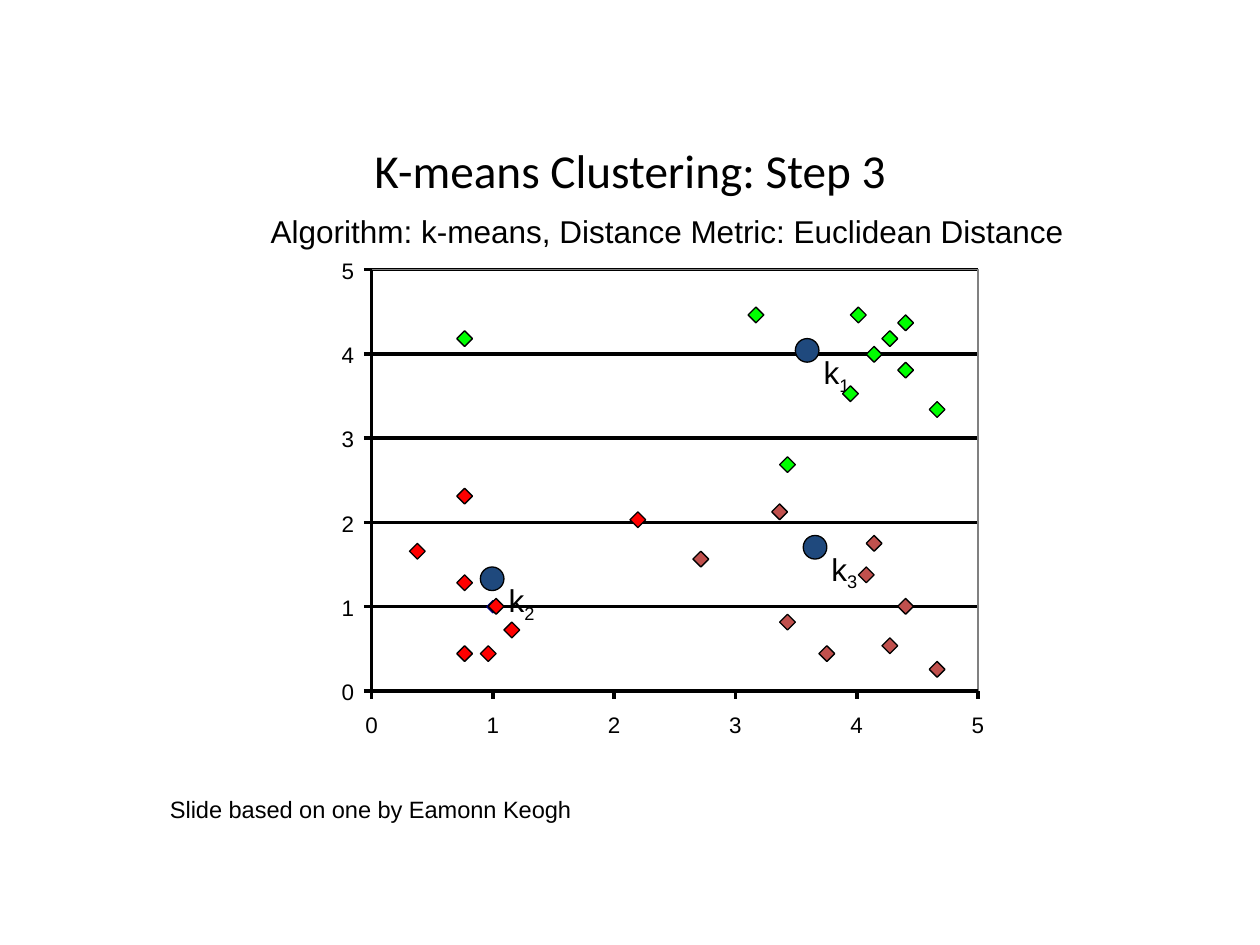
from lxml.etree import SubElement
from pptx import Presentation
from pptx.dml.color import RGBColor
from pptx.enum.shapes import MSO_CONNECTOR, MSO_SHAPE
from pptx.enum.text import MSO_ANCHOR, MSO_AUTO_SIZE, PP_ALIGN
from pptx.oxml.ns import qn
from pptx.util import Inches, Pt

BLACK = RGBColor(0x00, 0x00, 0x00)
WHITE = RGBColor(0xFF, 0xFF, 0xFF)
GRAY = RGBColor(0x80, 0x80, 0x80)
NAVY = RGBColor(0x00, 0x00, 0x80)
BLUE = RGBColor(0x1F, 0x49, 0x7D)
RED = RGBColor(0xFF, 0x00, 0x00)
GREEN = RGBColor(0x00, 0xFF, 0x00)
BROWN = RGBColor(0xC0, 0x50, 0x4D)

# The slide is a grid of 160 columns by 120 rows
UNITS_PER_INCH = 16
COLUMNS, ROWS = 160, 120

# Plot area, in grid units
LEFT, TOP = 47.2, 34.25
STEP_X, STEP_Y = 15.4, 10.7
INTERVALS = 5
RIGHT, BOTTOM = LEFT + INTERVALS * STEP_X, TOP + INTERVALS * STEP_Y
TICK = 1

# Top left corners of the markers, in grid units
CENTROIDS = {"1": (101, 43), "2": (61, 72), "3": (102, 68)}
CLUSTERS = {
    RED: [(62, 76), (64, 79), (61, 82), (58, 73), (58, 62), (58, 82),
          (52, 69), (80, 65)],
    GREEN: [(58, 42), (108, 39), (114, 40), (112, 42), (110, 44), (114, 46),
            (118, 51), (95, 39), (99, 58), (107, 49)],
    BROWN: [(99, 78), (104, 82), (109, 72), (98, 64), (88, 70), (114, 76),
            (112, 81), (110, 68), (118, 84)],
}


def units(value):
    return Inches(value / UNITS_PER_INCH)


def write_text(frame, text, subscript="", size=18, font="Arial", color=BLACK,
               align=PP_ALIGN.LEFT, anchor=MSO_ANCHOR.TOP, wrap=False,
               grow=True, inset=None):
    frame.word_wrap = wrap
    frame.auto_size = MSO_AUTO_SIZE.SHAPE_TO_FIT_TEXT if grow else MSO_AUTO_SIZE.NONE
    frame.vertical_anchor = anchor
    if inset is not None:
        frame.margin_left = frame.margin_right = inset
        frame.margin_top = frame.margin_bottom = inset
    para = frame.paragraphs[0]
    para.alignment = align
    for part in filter(None, (text, subscript)):
        span = para.add_run()
        span.text = part
        span.font.size = Pt(size)
        span.font.name = font
        span.font.color.rgb = color
    if subscript:
        span._r.get_or_add_rPr().set("baseline", "-25000")


class Page:
    def __init__(self, deck):
        self.slide = deck.slides.add_slide(deck.slide_layouts[6])
        self.shapes = self.slide.shapes

    def style(self, shape, fill, line, width):
        shape.shadow.inherit = False
        if fill is None:
            shape.fill.background()
        else:
            shape.fill.solid()
            shape.fill.fore_color.rgb = fill
        if line is None:
            shape.line.fill.background()
        else:
            shape.line.color.rgb = line
            shape.line.width = Pt(width)

    def shape(self, kind, x, y, width, height, fill=None, line=BLACK,
              line_width=0.75, parent=None):
        shape = (parent or self).shapes.add_shape(
            kind, units(x), units(y), units(width), units(height))
        self.style(shape, fill, line, line_width)

    def outline(self, points, fill, line, line_width):
        start, *others = [(units(x), units(y)) for x, y in points]
        builder = self.shapes.build_freeform(*start)
        builder.add_line_segments(others, close=True)
        self.style(builder.convert_to_shape(), fill, line, line_width)

    def line(self, x1, y1, x2, y2):
        line = self.shapes.add_connector(
            MSO_CONNECTOR.STRAIGHT, units(x1), units(y1), units(x2), units(y2))
        line.line.color.rgb = BLACK
        line.line.width = Pt(0)
        SubElement(line._element.spPr, qn("a:effectLst"))

    def text(self, text, x, y, width, height, parent=None, **style):
        box = (parent or self).shapes.add_textbox(
            units(x), units(y), units(width), units(height))
        write_text(box.text_frame, text, **style)

    def centroid(self, number, x, y):
        group = self.shapes.add_group_shape()
        self.shape(MSO_SHAPE.OVAL, x, y, 3, 3, BLUE, parent=group)
        self.text("k", x + 2, y + 1, 7, 6.4, parent=group, subscript=number,
                  wrap=True)


def draw_plot(page):
    area = (LEFT, TOP, RIGHT - LEFT, BOTTOM - TOP)
    x_ticks = [LEFT + i * STEP_X for i in range(INTERVALS + 1)]
    y_ticks = [BOTTOM - i * STEP_Y for i in range(INTERVALS + 1)]

    # Background, gridlines and frame
    page.shape(MSO_SHAPE.RECTANGLE, *area, fill=WHITE, line=None)
    for y in y_ticks[1:]:
        page.line(LEFT, y, RIGHT, y)
    page.shape(MSO_SHAPE.RECTANGLE, *area, line=GRAY, line_width=0.63)

    # Axes and tick marks
    page.line(LEFT, TOP, LEFT, BOTTOM)
    for y in y_ticks:
        page.line(LEFT - TICK, y, LEFT, y)
    page.line(LEFT, BOTTOM, RIGHT, BOTTOM)
    for x in x_ticks:
        page.line(x, BOTTOM + TICK, x, BOTTOM)

    # Small navy marker at (1, 1)
    x, y, half = x_ticks[1], y_ticks[1], 0.8
    page.outline([(x, y - half), (x + half, y), (x, y + half), (x - half, y)],
                 NAVY, NAVY, 0.63)

    # Axis numbers
    corners = [[(43.4, y - 1.6) for y in y_ticks],
               [(x - 0.8, 90.25) for x in x_ticks]]
    for axis in corners:
        for number, (x, y) in enumerate(axis):
            page.text(str(number), x, y, 1.6, 3.4, size=12.8, inset=0)


def main():
    deck = Presentation()
    deck.slide_width, deck.slide_height = units(COLUMNS), units(ROWS)
    page = Page(deck)

    draw_plot(page)

    # Headings
    page.text("K-means Clustering: Step 3", 29, 18, 102, 7, size=27,
              font="Calibri", align=PP_ALIGN.CENTER, anchor=MSO_ANCHOR.MIDDLE,
              wrap=True, grow=False)
    page.text("Algorithm: k-means, Distance Metric: Euclidean Distance",
              32.8, 26.1, 105, 6.4)

    # Cluster centres, then the data points
    for number, (x, y) in CENTROIDS.items():
        page.centroid(number, x, y)
    for color, points in CLUSTERS.items():
        for x, y in points:
            page.shape(MSO_SHAPE.DIAMOND, x, y, 2, 2, color)

    # Credit
    page.text("Slide based on one by Eamonn Keogh", 20, 100.2, 54.9, 5.3,
              size=13.5)

    deck.save("out.pptx")


if __name__ == "__main__":
    main()
